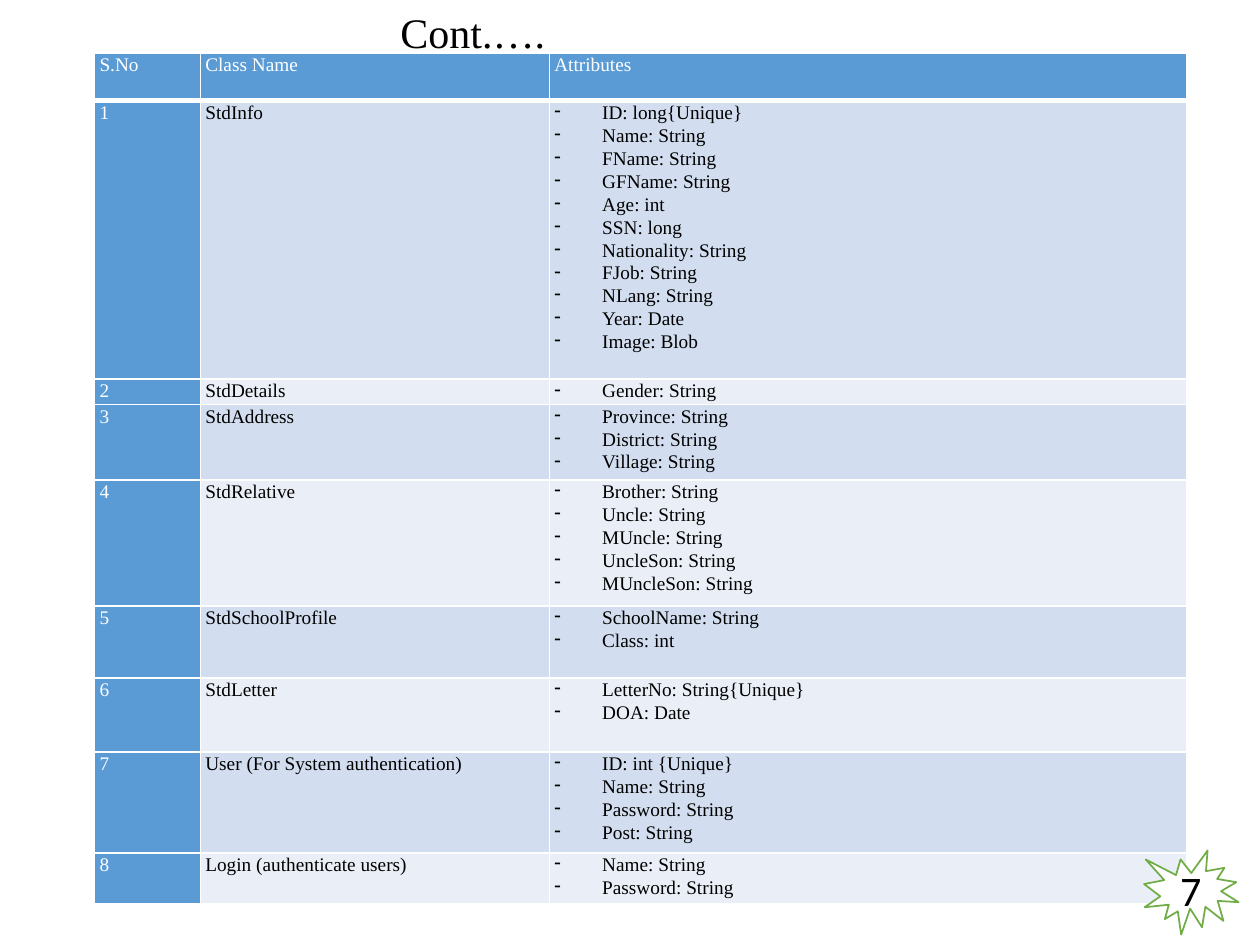
from dataclasses import dataclass

from lxml.etree import SubElement
from pptx import Presentation
from pptx.dml.color import RGBColor
from pptx.enum.shapes import MSO_SHAPE
from pptx.enum.text import MSO_ANCHOR, PP_ALIGN
from pptx.oxml.ns import qn
from pptx.util import Inches, Pt

PAGE_WIDTH, PAGE_HEIGHT = Inches(10), Inches(7.5)


@dataclass(frozen=True)
class Theme:
    header: str = "5B9BD5"
    odd_row: str = "D2DEEF"
    even_row: str = "EAEFF7"
    white: str = "FFFFFF"
    ink: str = "000000"
    burst: str = "70AD47"
    serif: str = "Times New Roman"
    sans: str = "Calibri"
    body_size: int = 11
    title_size: int = 24
    rule: int = 1
    header_rule: int = 3
    spacing: float = 1.07


THEME = Theme()

HEADINGS = ["S.No", "Class Name", "Attributes"]
CLASSES = [
    ("StdInfo", ["ID: long{Unique}", "Name: String", "FName: String",
                 "GFName: String", "Age: int", "SSN: long",
                 "Nationality: String", "FJob: String", "NLang: String",
                 "Year: Date", "Image: Blob"]),
    ("StdDetails", ["Gender: String"]),
    ("StdAddress", ["Province: String", "District: String", "Village: String"]),
    ("StdRelative", ["Brother: String", "Uncle: String", "MUncle: String",
                     "UncleSon: String", "MUncleSon: String"]),
    ("StdSchoolProfile", ["SchoolName: String", "Class: int"]),
    ("StdLetter", ["LetterNo: String{Unique}", "DOA: Date"]),
    ("User (For System authentication)",
     ["ID: int {Unique}", "Name: String", "Password: String", "Post: String"]),
    ("Login (authenticate users)", ["Name: String", "Password: String"]),
]
COLUMN_WIDTHS = [0.84, 2.77, 5.06]
ROW_HEIGHTS = [0.38, 2.21, 0.2, 0.6, 1, 0.57, 0.59, 0.8, 0.4]


def place(left, top, width, height):
    return (int(PAGE_WIDTH * left), int(PAGE_HEIGHT * top),
            int(PAGE_WIDTH * width), int(PAGE_HEIGHT * height))


def color(code):
    return RGBColor.from_string(code)


def write(frame, lines, *, size=THEME.body_size, font=THEME.serif,
          ink=THEME.ink, align=None, spacing=None, bullet=None):
    for index, line in enumerate(lines):
        para = frame.add_paragraph() if index else frame.paragraphs[0]
        para.alignment = align
        para.line_spacing = spacing
        if bullet:
            add_bullet(para, bullet)
        span = para.add_run()
        span.text = line
        span.font.size = Pt(size)
        span.font.name = font
        span.font.color.rgb = color(ink)


def add_bullet(para, character, indent=Inches(0.38)):
    properties = para._p.get_or_add_pPr()
    properties.set("marL", str(indent))
    properties.set("indent", str(-indent))
    SubElement(properties, qn("a:buChar"), char=character)


def add_borders(cell, top, bottom):
    properties = cell._tc.get_or_add_tcPr()
    widths = {"lnL": THEME.rule, "lnR": THEME.rule, "lnT": top, "lnB": bottom}
    for side, width in widths.items():
        line = SubElement(properties, qn(f"a:{side}"), w=str(Pt(width)))
        fill = SubElement(line, qn("a:solidFill"))
        SubElement(fill, qn("a:srgbClr"), val=THEME.white)


def fill_cell(cell, lines, fill, *, top=THEME.rule, bottom=THEME.rule, **style):
    cell.margin_left = cell.margin_right = Inches(0.04)
    cell.margin_top = cell.margin_bottom = 0
    add_borders(cell, top, bottom)
    cell.fill.solid()
    cell.fill.fore_color.rgb = color(fill)
    write(cell.text_frame, lines, spacing=THEME.spacing, **style)


def add_class_table(page):
    table = page.shapes.add_table(len(ROW_HEIGHTS), len(COLUMN_WIDTHS),
                                  *place(0.075, 0.056, 0.867, 0.9)).table
    for column, width in zip(table.columns, COLUMN_WIDTHS):
        column.width = Inches(width)
    for row, height in zip(table.rows, ROW_HEIGHTS):
        row.height = Inches(height)

    for column, heading in enumerate(HEADINGS):
        fill_cell(table.cell(0, column), [heading], THEME.header,
                  bottom=THEME.header_rule, ink=THEME.white)
    for number, (name, attributes) in enumerate(CLASSES, start=1):
        band = THEME.odd_row if number % 2 else THEME.even_row
        top = THEME.header_rule if number == 1 else THEME.rule
        fill_cell(table.cell(number, 0), [str(number)], THEME.header,
                  top=top, ink=THEME.white)
        fill_cell(table.cell(number, 1), [name], band, top=top)
        fill_cell(table.cell(number, 2), attributes, band, top=top, bullet="-")


def add_title(page, title):
    box = page.shapes.add_textbox(*place(0.308, 0, 0.408, 0.067))
    box.text_frame.word_wrap = True
    write(box.text_frame, [title], size=THEME.title_size)


def add_page_number(page, number):
    burst = page.shapes.add_shape(MSO_SHAPE.EXPLOSION1,
                                  *place(0.908, 0.9, 0.075, 0.089))
    burst.shadow.inherit = False
    burst.fill.solid()
    burst.fill.fore_color.rgb = color(THEME.white)
    burst.line.color.rgb = color(THEME.burst)
    burst.line.width = Pt(THEME.rule)
    burst.text_frame.vertical_anchor = MSO_ANCHOR.MIDDLE
    write(burst.text_frame, [number], size=THEME.title_size, font=THEME.sans,
          align=PP_ALIGN.CENTER)


def main():
    deck = Presentation()
    deck.slide_width, deck.slide_height = PAGE_WIDTH, PAGE_HEIGHT
    page = deck.slides.add_slide(deck.slide_layouts[6])
    add_class_table(page)
    add_title(page, "Cont.….")
    add_page_number(page, "7")
    deck.save("out.pptx")


if __name__ == "__main__":
    main()
